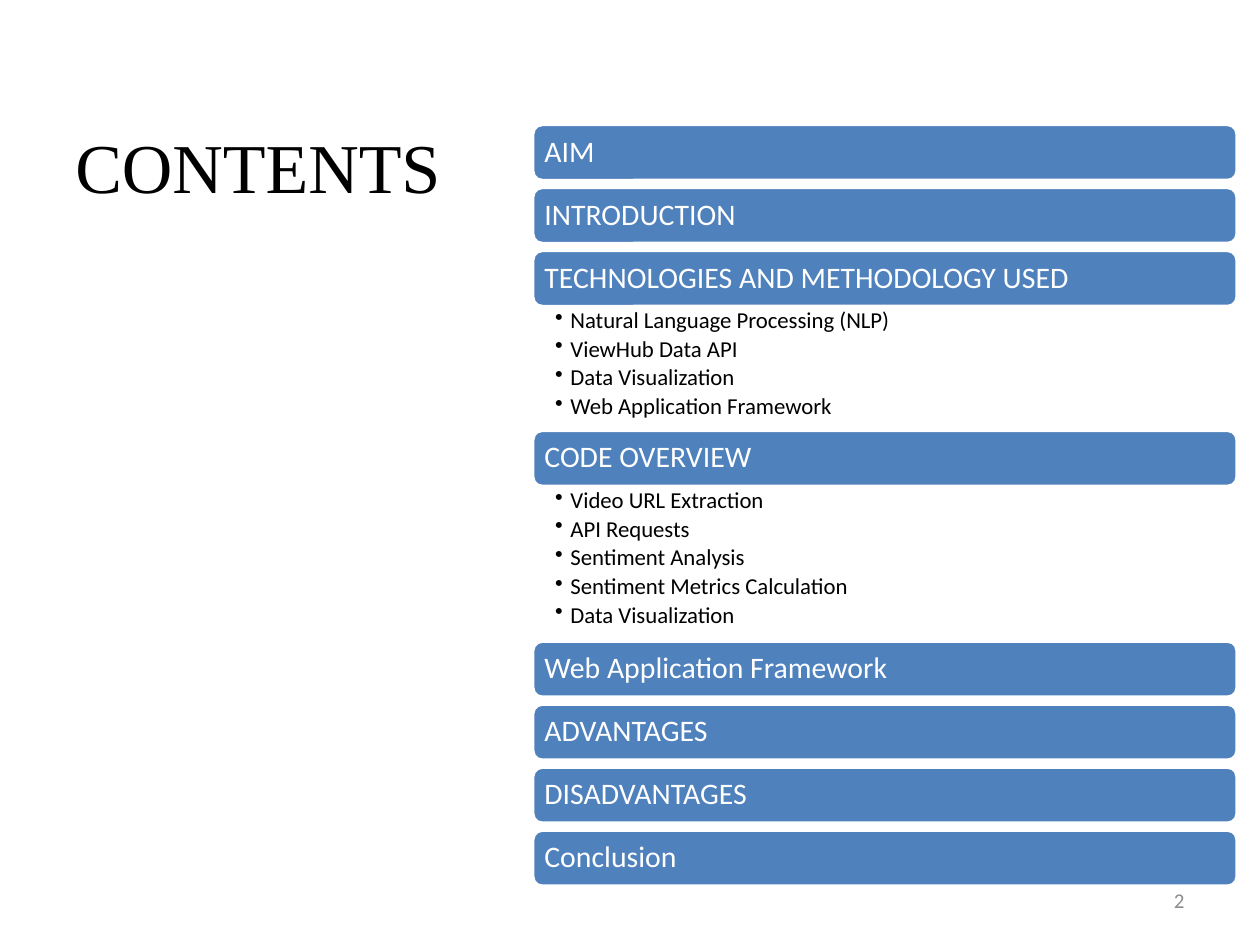
from lxml.etree import SubElement
from pptx import Presentation
from pptx.dml.color import RGBColor
from pptx.enum.shapes import MSO_SHAPE as Shape
from pptx.enum.text import MSO_ANCHOR as Anchor, PP_ALIGN as Align
from pptx.oxml.ns import qn
from pptx.util import Cm, Pt

BLUE = RGBColor(0x4F, 0x81, 0xBD)
WHITE = RGBColor(0xFF, 0xFF, 0xFF)
BLACK = RGBColor(0, 0, 0)
GRAY = RGBColor(0x8C, 0x8C, 0x8C)

LIST_LEFT, LIST_TOP, LIST_WIDTH = 10.74, 2.51, 14.2
BAR_HEIGHT, BAR_GAP = 1.13, 0.14
BULLET_PITCH = 0.624

SECTIONS = [
    ("AIM", []),
    ("INTRODUCTION", []),
    ("TECHNOLOGIES AND METHODOLOGY USED", [
        "Natural Language Processing (NLP)",
        "ViewHub Data API",
        "Data Visualization",
        "Web Application Framework",
    ]),
    ("CODE OVERVIEW", [
        "Video URL Extraction",
        "API Requests",
        "Sentiment Analysis",
        "Sentiment Metrics Calculation",
        "Data Visualization",
    ]),
    ("Web Application Framework", []),
    ("ADVANTAGES", []),
    ("DISADVANTAGES", []),
    ("Conclusion", []),
]


def write_text(shape, text, size, color, font="Calibri", align=Align.LEFT):
    """Fill a shape with wrapped text in one format."""
    frame = shape.text_frame
    frame.text = text
    frame.word_wrap = True
    for paragraph in frame.paragraphs:
        paragraph.alignment = align
        for run in paragraph.runs:
            run.font.size = Pt(size)
            run.font.name = font
            run.font.color.rgb = color
    return frame


def add_text(slide, left, top, width, height, *text_format):
    """Add a text box and return its text frame."""
    box = slide.shapes.add_textbox(Cm(left), Cm(top), Cm(width), Cm(height))
    return write_text(box, *text_format)


def add_bar(slide, top, heading):
    """Add a rounded bar holding a section heading."""
    bar = slide.shapes.add_shape(
        Shape.ROUNDED_RECTANGLE, Cm(LIST_LEFT), Cm(top), Cm(LIST_WIDTH), Cm(BAR_HEIGHT))
    bar.shadow.inherit = False
    bar.fill.solid()
    bar.fill.fore_color.rgb = BLUE
    bar.line.color.rgb = WHITE
    bar.line.width = Pt(2)
    frame = write_text(bar, heading, 17, WHITE)
    frame.vertical_anchor = Anchor.MIDDLE
    frame.margin_left = frame.margin_right = Cm(0.18)
    frame.margin_top = frame.margin_bottom = Cm(0.18)
    frame.paragraphs[0].line_spacing = 0.9


def add_bullets(slide, top, height, items):
    """Add the bulleted topics below a section bar."""
    frame = add_text(slide, LIST_LEFT, top, LIST_WIDTH, height, "\n".join(items), 13, BLACK)
    frame.margin_left, frame.margin_right = Cm(0.45), Cm(0.32)
    frame.margin_top = frame.margin_bottom = Cm(0.05)
    for paragraph in frame.paragraphs:
        paragraph.line_spacing = 0.9
        paragraph.space_after = Pt(2.3)
        properties = paragraph._p.get_or_add_pPr()
        properties.set("marL", str(Cm(0.31)))
        properties.set("indent", str(Cm(-0.31)))
        SubElement(properties, qn("a:buChar"), char="•")


def add_contents(slide):
    """Stack the section bars and their topics downwards."""
    top = LIST_TOP
    for heading, items in SECTIONS:
        add_bar(slide, top, heading)
        top += BAR_HEIGHT
        height = len(items) * BULLET_PITCH
        if items:
            add_bullets(slide, top, height, items)
        top += height or BAR_GAP


def main():
    """Build the contents slide and save it."""
    presentation = Presentation()
    presentation.slide_width, presentation.slide_height = Cm(25.4), Cm(19.05)
    slide = presentation.slides.add_slide(presentation.slide_layouts[6])
    title = add_text(slide, 1.27, 2.36, 8.36, 2.84, "CONTENTS", 40, BLACK, "Times New Roman")
    title.paragraphs[0].space_before = Pt(5)
    number = add_text(slide, 18.2, 17.65, 5.93, 1.01, "2", 12, GRAY, "Calibri", Align.RIGHT)
    number.vertical_anchor = Anchor.MIDDLE
    add_contents(slide)
    presentation.save("out.pptx")


if __name__ == "__main__":
    main()
